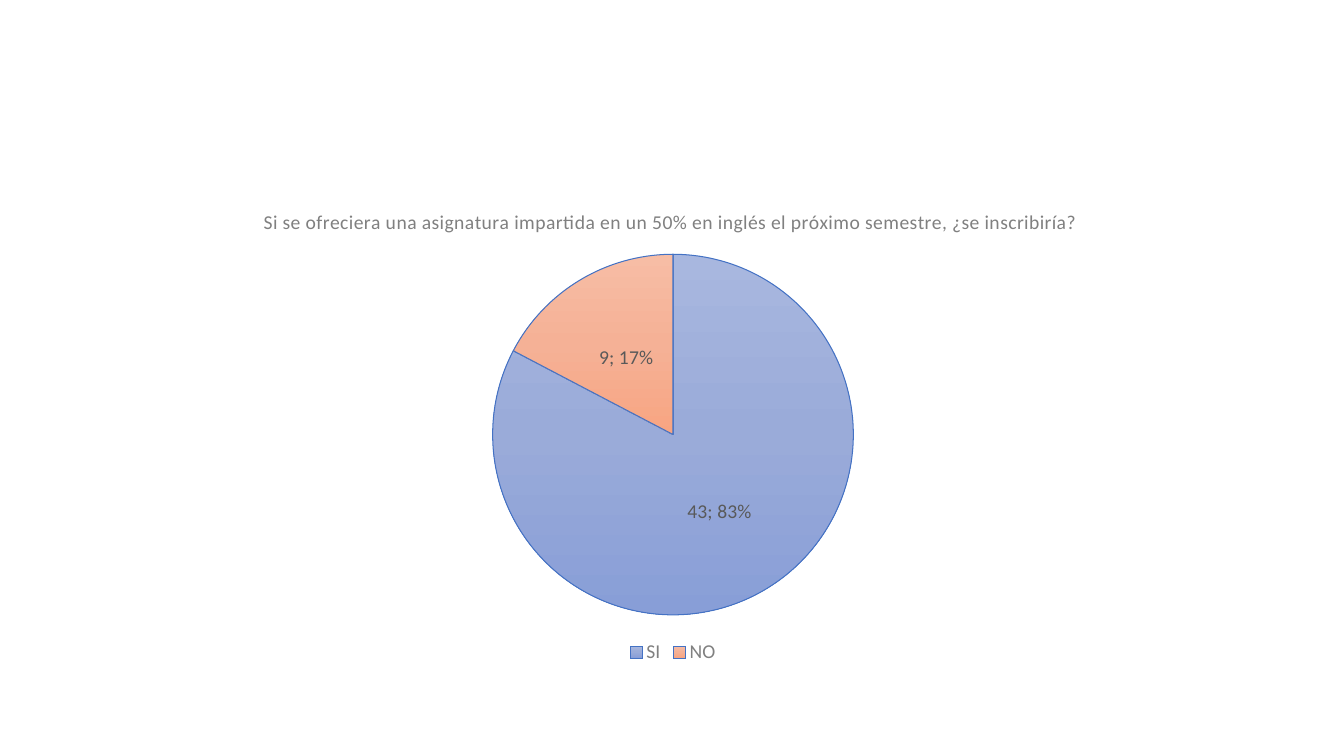
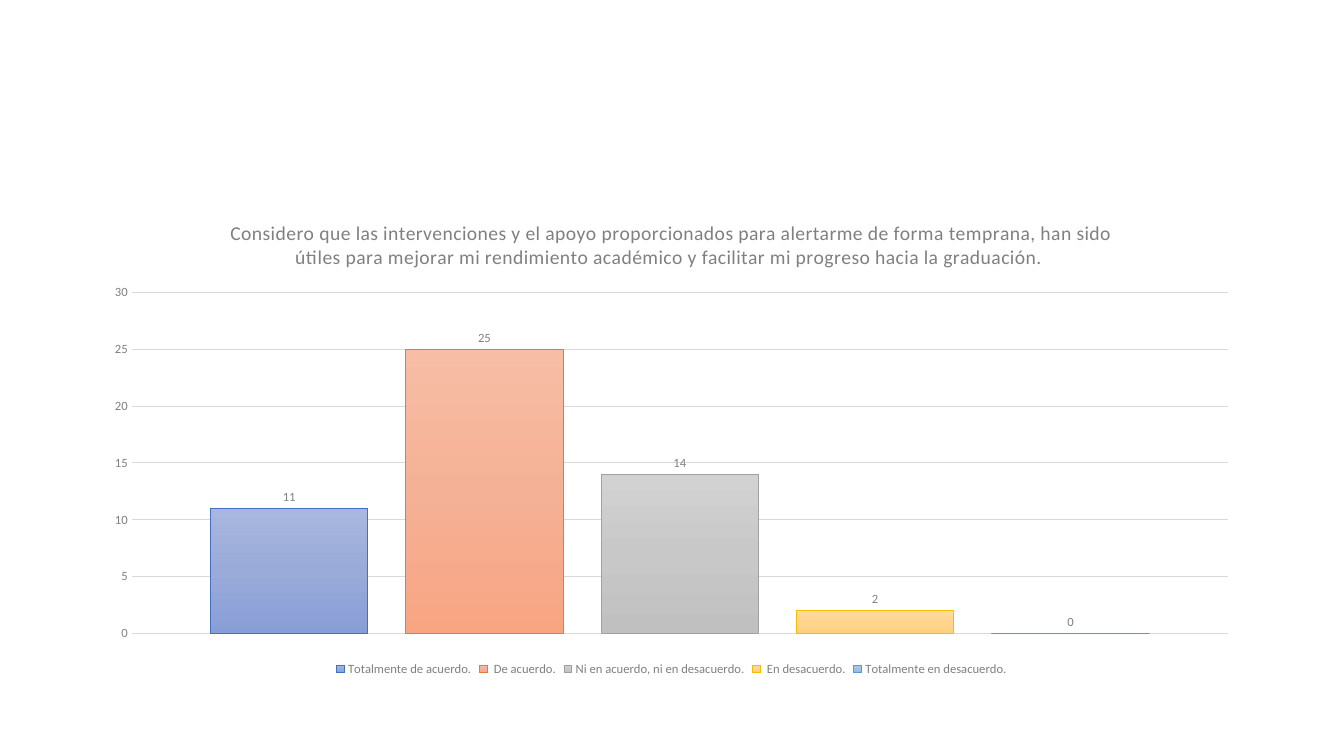
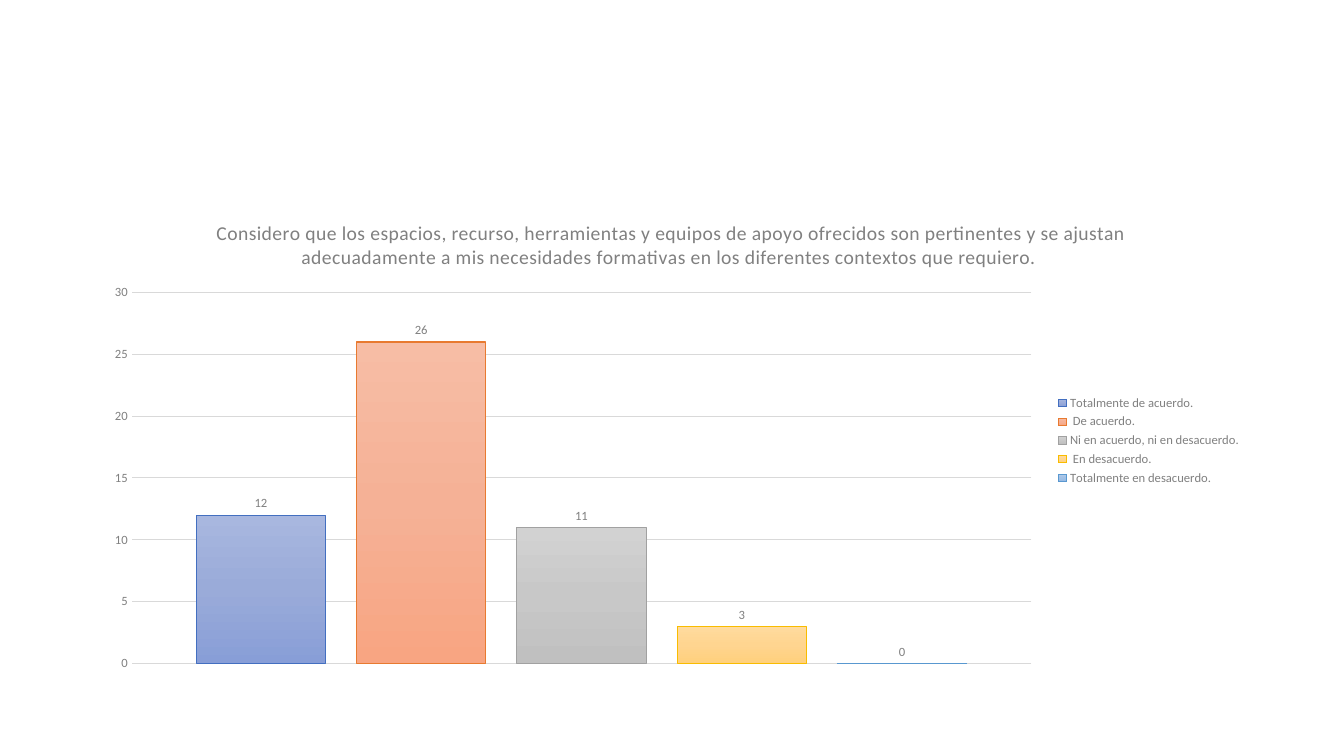
from copy import deepcopy

from lxml import etree
from pptx import Presentation
from pptx.chart.data import CategoryChartData
from pptx.dml.color import RGBColor
from pptx.enum.chart import XL_CHART_TYPE, XL_LABEL_POSITION, XL_LEGEND_POSITION, XL_TICK_MARK
from pptx.oxml.ns import qn
from pptx.util import Inches, Pt

PIE, COLUMN = XL_CHART_TYPE.PIE, XL_CHART_TYPE.COLUMN_CLUSTERED
BOTTOM, RIGHT = XL_LEGEND_POSITION.BOTTOM, XL_LEGEND_POSITION.RIGHT
CENTER, OUTSIDE_END = XL_LABEL_POSITION.CENTER, XL_LABEL_POSITION.OUTSIDE_END
NO_TICK = XL_TICK_MARK.NONE

FONT = "Calibri"
COLOURS = {"black": "000000", "text": "808080", "label": "595959",
           "grid": "D9D9D9", "pie line": "4472C4"}
GRADIENTS = [
    ("A8B7DF", "9AABD9", "889ED7"),
    ("F7BDA5", "F5B196", "F8A582"),
    ("D2D2D2", "C8C8C8", "C0C0C0"),
    ("FFDB9E", "FFD590", "FFD07C"),
    ("B1CBE9", "A3C1E5", "93B9E4"),
]
BAR_LINES = ["436FC0", "E87A30", "A1A1A1", "F9BC00", "5998D0"]
ANSWERS = ["Totalmente de acuerdo.", " De acuerdo.", "Ni en acuerdo, ni en desacuerdo.",
           " En desacuerdo.", "Totalmente en desacuerdo."]
PIE_PLACE = (0.92, 1.88, 11.51, 4.75)
COLUMN_PLACE = (0.91, 1.99, 11.5, 4.76)

SURVEY = [
    {"question": "Si se ofreciera una asignatura impartida en un 50% en inglés el próximo "
                 "semestre, ¿se inscribiría? ",
     "kind": PIE, "categories": ["SI", "NO"], "series": {"Series 1": [43, 9]},
     "place": PIE_PLACE, "legend": BOTTOM, "size": 14, "label": "label", "position": CENTER},
    {"question": "Considero que las intervenciones y el apoyo proporcionados para alertarme de "
                 "forma temprana, han sido útiles para mejorar mi rendimiento académico y "
                 "facilitar mi progreso hacia la graduación. ",
     "kind": COLUMN, "categories": ["1"],
     "series": {answer: [votes] for answer, votes in zip(ANSWERS, [11, 25, 14, 2, 0])},
     "place": COLUMN_PLACE, "legend": BOTTOM, "size": 9, "label": "text",
     "position": OUTSIDE_END},
    {"question": "Considero que los espacios, recurso, herramientas y equipos de apoyo ofrecidos "
                 "son pertinentes y se ajustan adecuadamente a mis necesidades formativas en los "
                 "diferentes contextos que requiero. ",
     "kind": COLUMN, "categories": ["1"],
     "series": {answer: [votes] for answer, votes in zip(ANSWERS, [12, 26, 11, 3, 0])},
     "place": COLUMN_PLACE, "legend": RIGHT, "size": 9, "label": "text",
     "position": OUTSIDE_END},
]


def style_font(font, size, colour):
    font.name, font.size, font.bold = FONT, Pt(size), False
    font.color.rgb = RGBColor.from_string(COLOURS[colour])


def write_title(chart, text, size=14, colour="text", spacing=0.2):
    chart.has_title = True
    span = chart.chart_title.text_frame.paragraphs[0].add_run()
    span.text = text
    style_font(span.font, size, colour)
    span._r.get_or_add_rPr().set("spc", str(int(spacing * 100)))


deck = Presentation()
deck.slide_width, deck.slide_height = Inches(13.33), Inches(7.5)
blank = deck.slide_layouts[6]

for item in SURVEY:
    page = deck.slides.add_slide(blank)
    data = CategoryChartData()
    data.categories = item["categories"]
    for name, values in item["series"].items():
        data.add_series(name, values)
    place = [Inches(length) for length in item["place"]]
    chart = page.shapes.add_chart(item["kind"], *place, data).chart
    style_font(chart.font, 10, "black")
    write_title(chart, item["question"])

    chart.has_legend = True
    chart.legend.position = item["legend"]
    chart.legend.include_in_layout = False
    style_font(chart.legend.font, item["size"], "text")

    plot = chart.plots[0]
    plot.has_data_labels = True
    labels = plot.data_labels
    labels.show_value = True
    labels.position = item["position"]
    style_font(labels.font, item["size"], item["label"])

    if item["kind"] == PIE:
        plot.vary_by_categories = True
        labels.show_percentage = True
        separator = etree.Element(qn("c:separator"))
        separator.text = "; "
        labels._element.find(qn("c:showBubbleSize")).addnext(separator)
        parts = [plot.series[0].points[index] for index in range(len(item["categories"]))]
        lines = [COLOURS["pie line"]] * len(parts)
    else:
        plot.vary_by_categories = False
        plot.gap_width, plot.overlap = 100, -24
        chart.category_axis.visible = False
        axis = chart.value_axis
        axis.minimum_scale, axis.maximum_scale, axis.major_unit = 0, 30, 5
        axis.major_tick_mark = axis.minor_tick_mark = NO_TICK
        axis.format.line.fill.background()
        style_font(axis.tick_labels.font, 9, "text")
        grid_line = axis.major_gridlines.format.line
        grid_line.width = Pt(0.75)
        grid_line.color.rgb = RGBColor.from_string(COLOURS["grid"])
        parts, lines = list(plot.series), BAR_LINES

    for part, gradient, line in zip(parts, GRADIENTS, lines):
        fill = part.format.fill
        fill.gradient()
        fill.gradient_angle = 270
        for stop, colour in zip(fill.gradient_stops, gradient[::2]):
            stop.color.rgb = RGBColor.from_string(colour)
        part.format.line.width = Pt(0.75)
        part.format.line.color.rgb = RGBColor.from_string(line)

    # python-pptx offers two gradient stops; the middle one is added here
    for stops, gradient in zip(chart._chartSpace.iter(qn("a:gsLst")), GRADIENTS):
        middle = deepcopy(stops[0])
        middle.set("pos", "50000")
        middle[0].set("val", gradient[1])
        stops.insert(1, middle)

deck.save("out.pptx")
